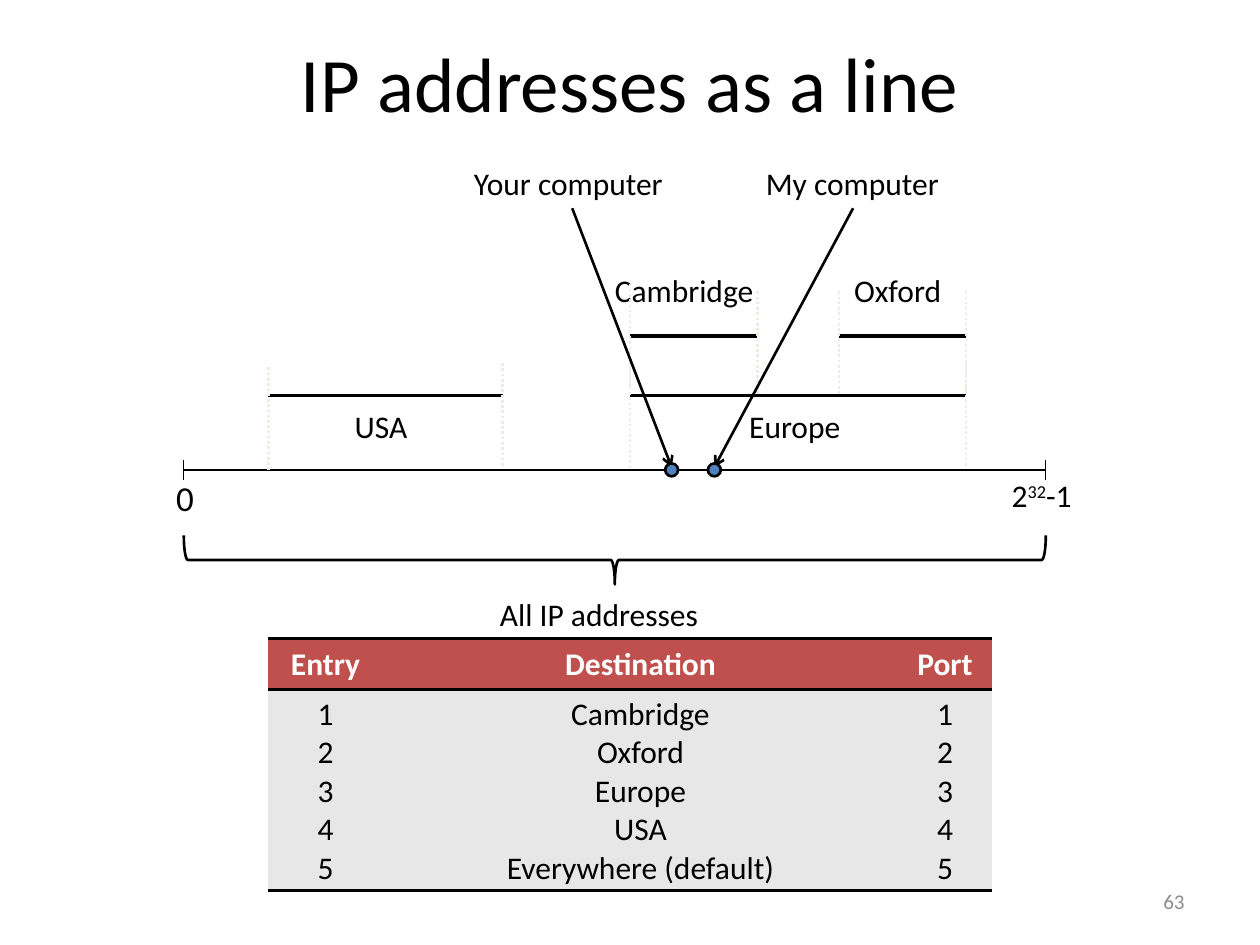
"""Build the slide showing IP addresses as a line, with its routing table."""
from lxml import etree
from pptx import Presentation
from pptx import util as u
from pptx.dml.color import RGBColor
from pptx.enum import dml, shapes, text
from pptx.oxml import ns

Pt = u.Pt
BLACK = RGBColor(0x00, 0x00, 0x00)
WHITE = RGBColor(0xFF, 0xFF, 0xFF)
RED = RGBColor(0xC0, 0x50, 0x4D)
BLUE = RGBColor(0x4F, 0x81, 0xBD)
CREAM = RGBColor(0xEE, 0xEC, 0xE1)
PALE = RGBColor(0xE7, 0xE7, 0xE7)
GREY = RGBColor(0x8C, 0x8C, 0x8C)

FONT = "Calibri"
AXIS_LEFT, AXIS_RIGHT, AXIS_Y = 105, 597.6, 268.5
TICK = 5.75
GUIDE_HEIGHT = 60
LABEL_HEIGHT = 29
DOT = 7.4

# name, label left, label top, label width, bar left, bar right, bar y, guide tops
RANGES = [
    ("Europe", 421, 229, 68, 360, 552, 226, (209, 207.5)),
    ("USA", 195.6, 229, 45.5, 153.4, 287.3, 226, (210, 207.5)),
    ("Oxford", 481, 151.3, 65.5, 479.4, 552, 192.2, (166.5, 166.5)),
    ("Cambridge", 344.2, 151.3, 94.3, 360, 432.7, 192.2, (162, 166.5)),
]
COMPUTERS = [
    ("Your computer", 263.7, 125.3, 327, 383.8),
    ("My computer", 430.5, 114.5, 487.5, 408.2),
]
HEADINGS = ["Entry", "Destination", "Port"]
ROUTES = [
    ("1", "Cambridge", "1"),
    ("2", "Oxford", "2"),
    ("3", "Europe", "3"),
    ("4", "USA", "4"),
    ("5", "Everywhere (default)", "5"),
]
COLUMN_WIDTHS = [66, 294, 54]
ROW_HEIGHTS = [28.8, 115.2]


def write(frame, lines, size=18, color=BLACK, bold=False, align="LEFT",
          anchor="TOP", wrap=False, raised=None):
    frame.word_wrap = wrap
    frame.vertical_anchor = getattr(text.MSO_ANCHOR, anchor)
    for index, line in enumerate(lines):
        paragraph = frame.paragraphs[0] if index == 0 else frame.add_paragraph()
        paragraph.alignment = getattr(text.PP_ALIGN, align)
        for piece in [line] if isinstance(line, str) else line:
            run = paragraph.add_run()
            run.text = piece
            run.font.name, run.font.size = FONT, Pt(size)
            run.font.bold = bold
            run.font.color.rgb = color
            if piece == raised:
                run.font._element.set("baseline", "30000")


def add_label(parent, line, left, top, width, height=LABEL_HEIGHT, **style):
    box = parent.add_textbox(Pt(left), Pt(top), Pt(width), Pt(height))
    write(box.text_frame, [line], **style)


def add_line(parent, x1, y1, x2, y2, width, color=BLACK, dotted=False, arrow=False):
    line = parent.add_connector(
        shapes.MSO_CONNECTOR.STRAIGHT, Pt(x1), Pt(y1), Pt(x2), Pt(y2))
    line.line.width = Pt(width)
    line.line.color.rgb = color
    if dotted:
        line.line.dash_style = dml.MSO_LINE.ROUND_DOT
    properties = line._element.spPr
    if arrow:
        stroke = properties.find(ns.qn("a:ln"))
        etree.SubElement(stroke, ns.qn("a:tailEnd"), type="arrow")
    etree.SubElement(properties, ns.qn("a:effectLst"))


def add_outline(parent, kind, left, top, width, height, fill=None):
    shape = parent.add_shape(kind, Pt(left), Pt(top), Pt(width), Pt(height))
    shape.shadow.inherit = False
    shape.line.color.rgb = BLACK
    shape.line.width = Pt(1.5)
    if fill is None:
        shape.fill.background()
    else:
        shape.fill.solid()
        shape.fill.fore_color.rgb = fill
    return shape


def set_borders(cell):
    properties = cell._tc.get_or_add_tcPr()
    for side in "LRTB":
        border = etree.SubElement(properties, ns.qn("a:ln" + side), w=str(Pt(2)))
        if side in "LR":
            etree.SubElement(border, ns.qn("a:noFill"))
        else:
            fill = etree.SubElement(border, ns.qn("a:solidFill"))
            etree.SubElement(fill, ns.qn("a:srgbClr"), val=str(BLACK))


def add_routes(parent):
    table = parent.add_table(2, 3, Pt(153), Pt(365), Pt(sum(COLUMN_WIDTHS)),
                             Pt(sum(ROW_HEIGHTS))).table
    table.horz_banding = False
    for row, height in zip(table.rows, ROW_HEIGHTS):
        row.height = Pt(height)
    for index, (heading, entries) in enumerate(zip(HEADINGS, zip(*ROUTES))):
        table.columns[index].width = Pt(COLUMN_WIDTHS[index])
        for row, (lines, color, fill) in enumerate(
                [([heading], WHITE, RED), (entries, BLACK, PALE)]):
            cell = table.cell(row, index)
            set_borders(cell)
            cell.fill.solid()
            cell.fill.fore_color.rgb = fill
            write(cell.text_frame, lines, color=color, bold=row == 0,
                  align="CENTER", wrap=True)


def main():
    deck = Presentation()
    deck.slide_width, deck.slide_height = Pt(720), Pt(540)
    slide = deck.slides.add_slide(deck.slide_layouts[6])
    canvas = slide.shapes

    add_label(canvas, "IP addresses as a line", 36, 1.5, 648, 90, size=44,
              align="CENTER", anchor="MIDDLE", wrap=True)
    add_line(canvas, AXIS_LEFT, AXIS_Y, AXIS_RIGHT, AXIS_Y, 0.75)
    for x in (AXIS_LEFT, AXIS_RIGHT):
        add_line(canvas, x, AXIS_Y - TICK, x, AXIS_Y + TICK, 0.75)
    add_label(canvas, "0", 93.6, AXIS_Y, 24.5, 31.5, size=20)
    add_label(canvas, ["2", "32", "-1"], 571, AXIS_Y, 56, raised="32")
    add_routes(canvas)

    whole = canvas.add_group_shape().shapes
    add_label(whole, "All IP addresses", 278.6, 336.3, 129)
    span, depth = AXIS_RIGHT - AXIS_LEFT, 28
    brace = add_outline(whole, shapes.MSO_SHAPE.RIGHT_BRACE,
                        (AXIS_LEFT + AXIS_RIGHT - depth) / 2, 320 - span / 2,
                        depth, span)
    brace.rotation = 90

    for name, left, top, width, start, end, y, guide_tops in RANGES:
        group = canvas.add_group_shape().shapes
        add_label(group, name, left, top, width)
        add_line(group, start, y, end, y, 2.25)
        for x, guide_top in zip((start, end), guide_tops):
            add_line(group, x, guide_top, x, guide_top + GUIDE_HEIGHT, 1.5,
                     color=CREAM, dotted=True)

    for name, left, width, start, target in COMPUTERS:
        group = canvas.add_group_shape().shapes
        add_label(group, name, left, 90, width)
        add_line(group, start, 119, target, AXIS_Y - 1.5, 1.5, arrow=True)
        add_outline(group, shapes.MSO_SHAPE.OVAL, target - DOT / 2,
                    AXIS_Y - DOT / 2, DOT, DOT, fill=BLUE)

    add_label(canvas, "63", 516, 500.5, 168, size=12, color=GREY,
              align="RIGHT", anchor="MIDDLE", wrap=True)
    deck.save("out.pptx")


if __name__ == "__main__":
    main()
